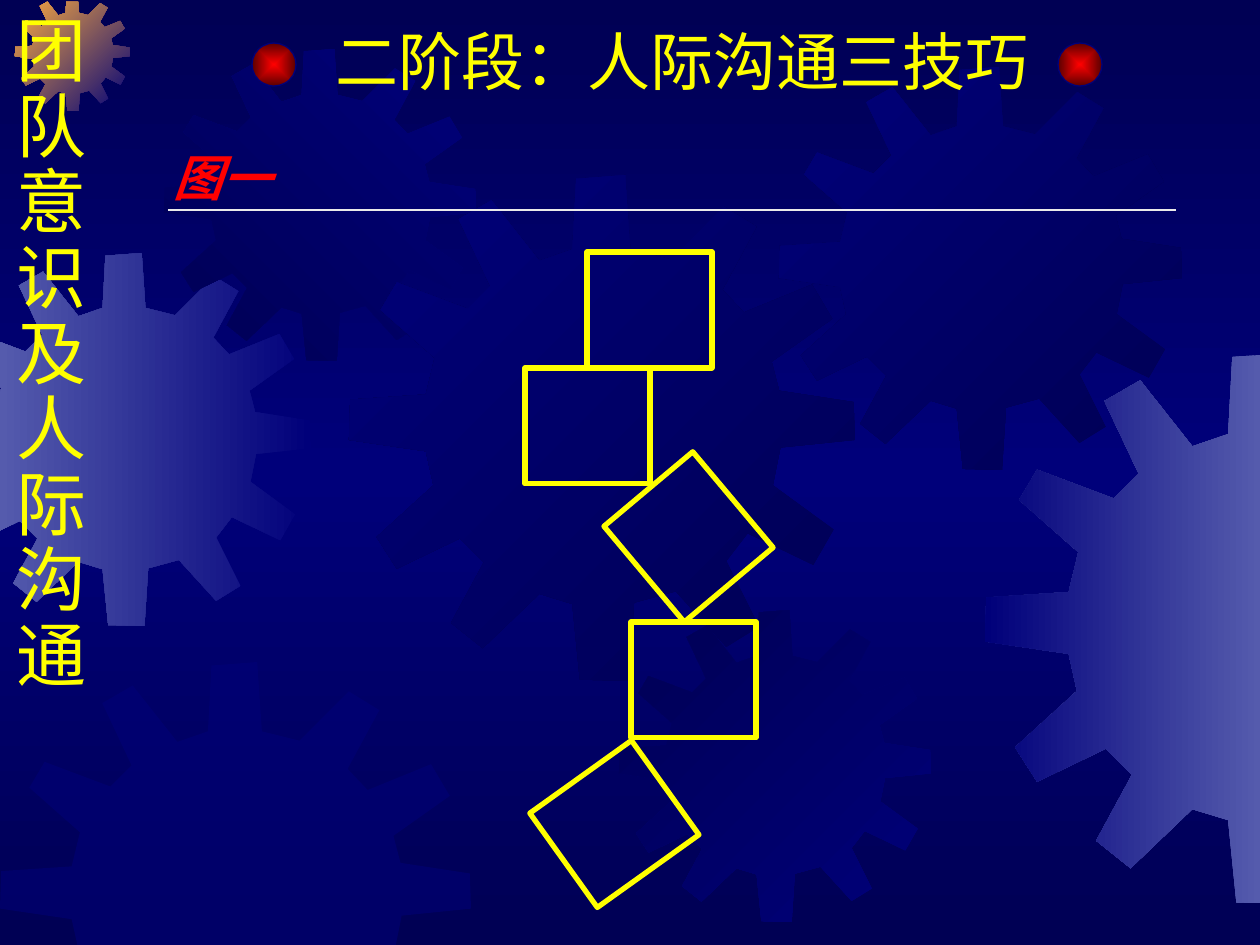
from dataclasses import dataclass
from typing import Optional

from lxml import etree
from pptx import Presentation
from pptx.dml.color import RGBColor
from pptx.enum.shapes import MSO_CONNECTOR, MSO_SHAPE
from pptx.enum.text import MSO_AUTO_SIZE
from pptx.oxml import parse_xml
from pptx.oxml.ns import nsdecls, qn
from pptx.util import Emu, Pt

STRAIGHT = MSO_CONNECTOR.STRAIGHT
OVAL = MSO_SHAPE.OVAL
RECTANGLE = MSO_SHAPE.RECTANGLE
FIT_SHAPE = MSO_AUTO_SIZE.SHAPE_TO_FIT_TEXT

EMU_PER_PX = 914400 // 126
SLIDE_WIDTH, SLIDE_HEIGHT = 1260, 945
TOP_EDGE = 2
COLORS = {
    "night": "000054", "navy": "00007A", "lavender": "555BAD",
    "orange": "FCAB40", "yellow": "FFFF00", "red": "FF0000",
    "maroon": "5B0000", "silver": "EAEAEA",
}
GEAR_GRID = 401
GEAR_OUTLINE = [
    (255, 67), (223, 59), (219, 0), (180, 3), (177, 59), (151, 68),
    (113, 20), (87, 35), (112, 88), (94, 106), (38, 85), (25, 107),
    (68, 145), (61, 174), (1, 178), (0, 210), (61, 219), (67, 246),
    (22, 287), (38, 312), (88, 288), (107, 307), (81, 355), (106, 375),
    (151, 332), (177, 340), (183, 400), (222, 401), (226, 339), (259, 330),
    (299, 374), (325, 358), (299, 306), (316, 284), (368, 309), (384, 281),
    (336, 246), (342, 216), (401, 210), (400, 180), (341, 171), (335, 148),
    (383, 114), (367, 87), (313, 109), (296, 91), (323, 41), (297, 25),
]


@dataclass
class Gear:
    left: int
    top: int
    size: int
    start: str
    end: Optional[str] = None
    angle: int = 0


@dataclass
class Caption:
    left: int
    top: int
    width: int
    height: int
    lines: str
    size: int
    color: str
    font: str = "Arial Narrow"
    spacing: Optional[float] = None
    emphasis: bool = False


@dataclass
class Block:
    left: int
    top: int
    angle: float = 0


GEARS = [
    Gear(-62, 253, 373, "navy", "lavender", 180),
    Gear(15, -4, 115, "navy", "orange", 225),
    Gear(164, 49, 312, "navy", "night", 135),
    Gear(349, 175, 506, "night", "navy", 225),
    Gear(0, 662, 471, "navy"),
    Gear(619, 610, 312, "navy", "night", 225),
    Gear(779, 67, 403, "night", "navy", 225),
    Gear(985, 353, 551, "lavender", "navy", 180),
]
CAPTIONS = [
    Caption(4, 10, 95, 693, "团\n队\n意\n识\n及\n人\n际\n沟\n通", 40, "yellow", spacing=0.9),
    Caption(323, 16, 718, 88, "二阶段：人际沟通三技巧", 36, "yellow"),
    Caption(161, 141, 147, 72, "图一", 28, "red", font="Noto Sans CJK SC", emphasis=True),
]
BLOCK_WIDTH, BLOCK_HEIGHT = 125, 116
BLOCKS = [
    Block(587, 252), Block(525, 368), Block(631, 622),
    Block(626, 479, 50), Block(552, 766, 324.4),
]
BULLET_LEFTS = (252, 1058)


def px(length: float) -> Emu:
    return Emu(round(length * EMU_PER_PX))


def rgb(color: str) -> RGBColor:
    return RGBColor.from_string(COLORS[color])


def paint_gradient(holder, stops: list[str], direction: str) -> None:
    step = 100000 // (len(stops) - 1)
    marks = "".join(
        f'<a:gs pos="{i * step}"><a:srgbClr val="{COLORS[color]}"/></a:gs>'
        for i, color in enumerate(stops)
    )
    gradient = parse_xml(
        f'<a:gradFill {nsdecls("a")} rotWithShape="1">'
        f"<a:gsLst>{marks}</a:gsLst>{direction}</a:gradFill>"
    )
    holder.replace(holder.find(qn("a:noFill")), gradient)


def linear(angle: int) -> str:
    return f'<a:lin ang="{angle * 60000}" scaled="0"/>'


def clip(points: list, axis: int, limit: float, sign: int) -> list:
    kept = []
    for before, here in zip(points[-1:] + points[:-1], points):
        was_inside = sign * (before[axis] - limit) >= 0
        is_inside = sign * (here[axis] - limit) >= 0
        if was_inside != is_inside:
            share = (limit - before[axis]) / (here[axis] - before[axis])
            kept.append(tuple(b + share * (h - b) for b, h in zip(before, here)))
        if is_inside:
            kept.append(here)
    return kept


def draw_gear(slide, gear: Gear) -> None:
    scale = gear.size / GEAR_GRID
    points = [(gear.left + x * scale, gear.top + y * scale) for x, y in GEAR_OUTLINE]
    for axis, limit, sign in (
        (0, 0, 1), (0, SLIDE_WIDTH, -1), (1, TOP_EDGE, 1), (1, SLIDE_HEIGHT, -1)
    ):
        points = clip(points, axis, limit, sign)
    corners = [(px(x), px(y)) for x, y in points]
    builder = slide.shapes.build_freeform(*corners[0])
    builder.add_line_segments(corners[1:], close=True)
    outline = builder.convert_to_shape()
    outline.shadow.inherit = False
    outline.line.fill.background()
    if gear.end:
        outline.fill.background()
        paint_gradient(outline._element.spPr, [gear.start, gear.end], linear(gear.angle))
    else:
        outline.fill.solid()
        outline.fill.fore_color.rgb = rgb(gear.start)
        tint = outline._element.spPr.find(qn("a:solidFill"))[0]
        etree.SubElement(tint, qn("a:alpha")).set("val", "50000")


def draw_caption(slide, caption: Caption) -> None:
    box = slide.shapes.add_textbox(
        px(caption.left), px(caption.top), px(caption.width), px(caption.height)
    )
    frame = box.text_frame
    frame.text = caption.lines
    frame.word_wrap = False
    frame.auto_size = FIT_SHAPE
    for paragraph in frame.paragraphs:
        paragraph.line_spacing = caption.spacing
        for run in paragraph.runs:
            run.font.size = Pt(caption.size)
            run.font.name = caption.font
            run.font.color.rgb = rgb(caption.color)
            run.font.bold = run.font.italic = caption.emphasis
            east_asian = etree.SubElement(run._r.get_or_add_rPr(), qn("a:ea"))
            east_asian.set("typeface", caption.font)


def draw_bullet(slide, left: int) -> None:
    bullet = slide.shapes.add_shape(OVAL, px(left), px(43), px(44), px(43))
    bullet.shadow.inherit = False
    bullet.fill.background()
    center = '<a:path path="rect"><a:fillToRect l="50000" t="50000" r="50000" b="50000"/></a:path>'
    paint_gradient(bullet._element.spPr, ["red", "maroon"], center)
    bullet.line.color.rgb = rgb("navy")
    bullet.line.width = Pt(0.75)


def draw_block(slide, block: Block) -> None:
    square = slide.shapes.add_shape(
        RECTANGLE, px(block.left), px(block.top), px(BLOCK_WIDTH), px(BLOCK_HEIGHT)
    )
    square.rotation = block.angle
    square.shadow.inherit = False
    square.fill.background()
    square.line.color.rgb = rgb("yellow")
    square.line.width = Pt(3)


def draw_rule(slide) -> None:
    rule = slide.shapes.add_connector(STRAIGHT, px(168), px(210), px(1176), px(210))
    rule.line.color.rgb = rgb("silver")
    rule.line.width = Pt(0.75)
    etree.SubElement(rule._element.spPr, qn("a:effectLst"))


def main() -> None:
    deck = Presentation()
    deck.slide_width, deck.slide_height = px(SLIDE_WIDTH), px(SLIDE_HEIGHT)
    slide = deck.slides.add_slide(deck.slide_layouts[6])
    slide.background.fill.background()
    backdrop = slide._element.find(".//" + qn("p:bgPr"))
    paint_gradient(backdrop, ["night", "navy", "night"], linear(90))
    for gear in GEARS:
        draw_gear(slide, gear)
    for left in BULLET_LEFTS:
        draw_bullet(slide, left)
    draw_rule(slide)
    for caption in CAPTIONS:
        draw_caption(slide, caption)
    for block in BLOCKS:
        draw_block(slide, block)
    deck.save("out.pptx")


if __name__ == "__main__":
    main()
